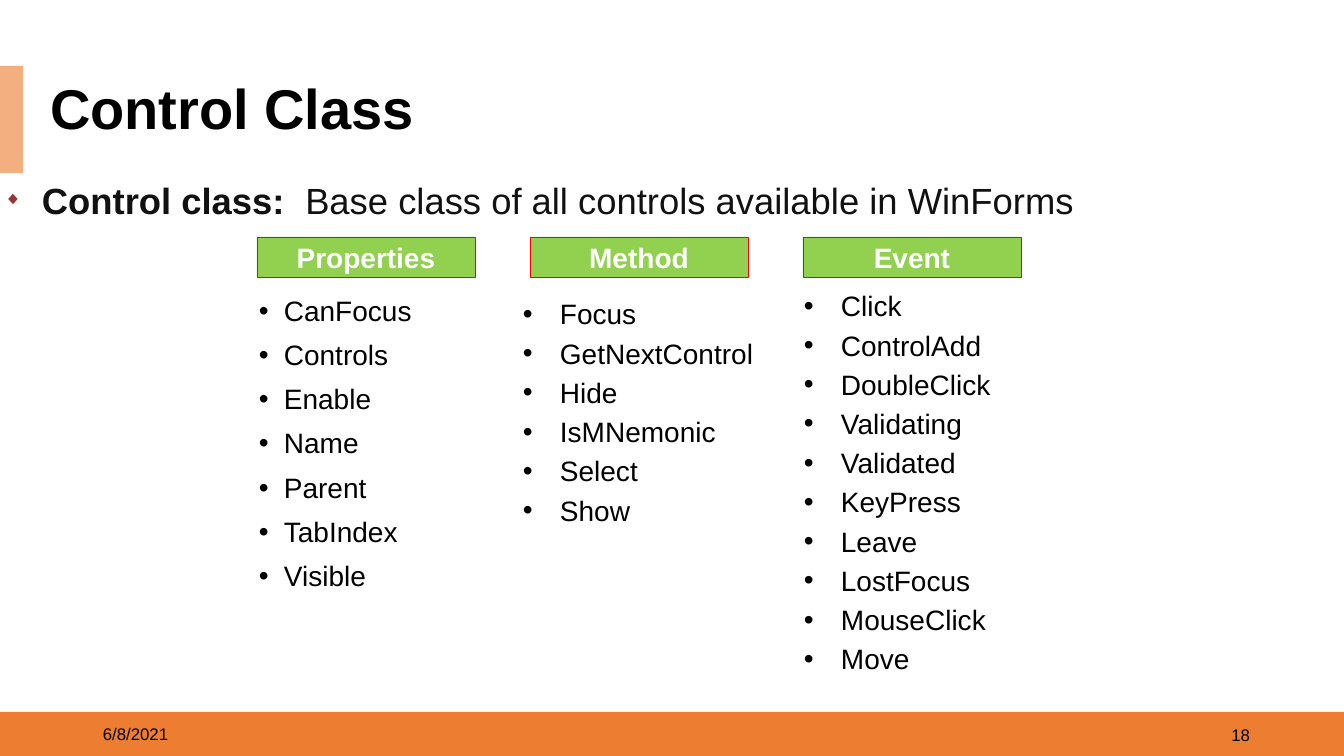
from lxml.etree import SubElement
from pptx import Presentation
from pptx.dml.color import RGBColor
from pptx.enum.shapes import MSO_SHAPE
from pptx.enum.text import MSO_ANCHOR as ANCHOR, PP_ALIGN as ALIGN
from pptx.oxml.ns import qn
from pptx.util import Pt

TITLE = "Control Class"
INTRO = [("Control class: ", True), (" Base class of all controls available in WinForms", False)]
COLUMNS = [
    dict(head="Properties", left=249, top=292, width=227, height=308,
         indent=25, spacing=0.9, before=10,
         items=["CanFocus", "Controls", "Enable", "Name", "Parent", "TabIndex", "Visible"]),
    dict(head="Method", left=513, top=292, width=268, height=248,
         indent=37, spacing=1.0, before=4,
         items=["Focus", "GetNextControl", "Hide", "IsMNemonic", "Select", "Show"]),
    dict(head="Event", left=794, top=284, width=268, height=407,
         indent=37, spacing=1.0, before=4,
         items=["Click", "ControlAdd", "DoubleClick", "Validating", "Validated",
                "KeyPress", "Leave", "LostFocus", "MouseClick", "Move"]),
]
FOOTER = [("6/8/2021", 93, 714, ALIGN.LEFT), ("18", 958, 715, ALIGN.RIGHT)]
BARS = [("orange", 0, 712, 1344, 44), ("peach", 0, 66, 23, 107)]
COLORS = dict(orange="ED7D31", peach="F4AF80", green="92D050", red="FF0000",
              white="FFFFFF", black="000000", ink="111111", diamond="973735")
HEAD_LEFT, HEAD_STEP, HEAD_TOP, HEAD_W, HEAD_H = 257, 273, 237, 218, 40


def px(n):
    return round(n * 914400 / 100.8)


def rgb(name):
    return RGBColor.from_string(COLORS[name])


def add_bullet(p, char, indent, color=None, percent=None):
    pPr = p._p.get_or_add_pPr()
    pPr.set("marL", str(px(indent)))
    pPr.set("indent", str(-px(indent)))
    if color:
        SubElement(SubElement(pPr, qn("a:buClr")), qn("a:srgbClr"), val=COLORS[color])
    if percent:
        SubElement(pPr, qn("a:buSzPct"), val=str(percent * 1000))
    SubElement(pPr, qn("a:buFont"), typeface="Arial")
    SubElement(pPr, qn("a:buChar"), char=char)


def write(p, text, size=20, color="black", bold=False, align=ALIGN.LEFT,
          spacing=1.0, before=0, after=0):
    p.alignment = align
    p.line_spacing = spacing
    p.space_before, p.space_after = Pt(before), Pt(after)
    r = p.add_run()
    r.text = text
    r.font.name, r.font.size, r.font.bold = "Arial", Pt(size), bold
    r.font.color.rgb = rgb(color)


def add_rect(s, fill, box, line=None):
    sp = s.shapes.add_shape(MSO_SHAPE.RECTANGLE, *map(px, box))
    sp.shadow.inherit = False
    sp.fill.solid()
    sp.fill.fore_color.rgb = rgb(fill)
    if line:
        sp.line.color.rgb = rgb(line)
        sp.line.width = Pt(0.5)
    else:
        sp.line.fill.background()
    return sp


def add_text(s, box, anchor=ANCHOR.TOP):
    tf = s.shapes.add_textbox(*map(px, box)).text_frame
    tf.word_wrap = True
    tf.vertical_anchor = anchor
    return tf


def main():
    prs = Presentation()
    prs.slide_width, prs.slide_height = px(1344), px(756)
    s = prs.slides.add_slide(prs.slide_layouts[5])

    for fill, *box in BARS:
        add_rect(s, fill, box)
    for text, left, top, align in FOOTER:
        tf = add_text(s, (left, top, 302, 40), ANCHOR.MIDDLE)
        write(tf.paragraphs[0], text, size=12, align=align)

    title = s.shapes.title
    title.left, title.top, title.width, title.height = map(px, (40, 80, 856, 63))
    title.fill.solid()
    title.fill.fore_color.rgb = rgb("white")
    title.text_frame.vertical_anchor = ANCHOR.MIDDLE
    write(title.text_frame.paragraphs[0], TITLE, size=40, bold=True, spacing=0.9)

    for i, col in enumerate(COLUMNS):
        box = (col["left"], col["top"], col["width"], col["height"])
        tf = add_text(s, box)
        for j, item in enumerate(col["items"]):
            p = tf.add_paragraph() if j else tf.paragraphs[0]
            add_bullet(p, "•", col["indent"])
            write(p, item, spacing=col["spacing"], before=col["before"] if j else 0)
        head = add_rect(s, "green", (HEAD_LEFT + i * HEAD_STEP, HEAD_TOP, HEAD_W, HEAD_H), "red")
        head.text_frame.vertical_anchor = ANCHOR.MIDDLE
        write(head.text_frame.paragraphs[0], col["head"], color="white", bold=True,
              align=ALIGN.CENTER)

    p = add_text(s, (-6, 151, 1102, 69)).paragraphs[0]
    add_bullet(p, "◆", 38, "diamond", 50)
    for text, bold in INTRO:
        write(p, text, size=26, color="ink", bold=bold, align=ALIGN.JUSTIFY,
              spacing=1.5, after=6)

    prs.save("out.pptx")


if __name__ == "__main__":
    main()
